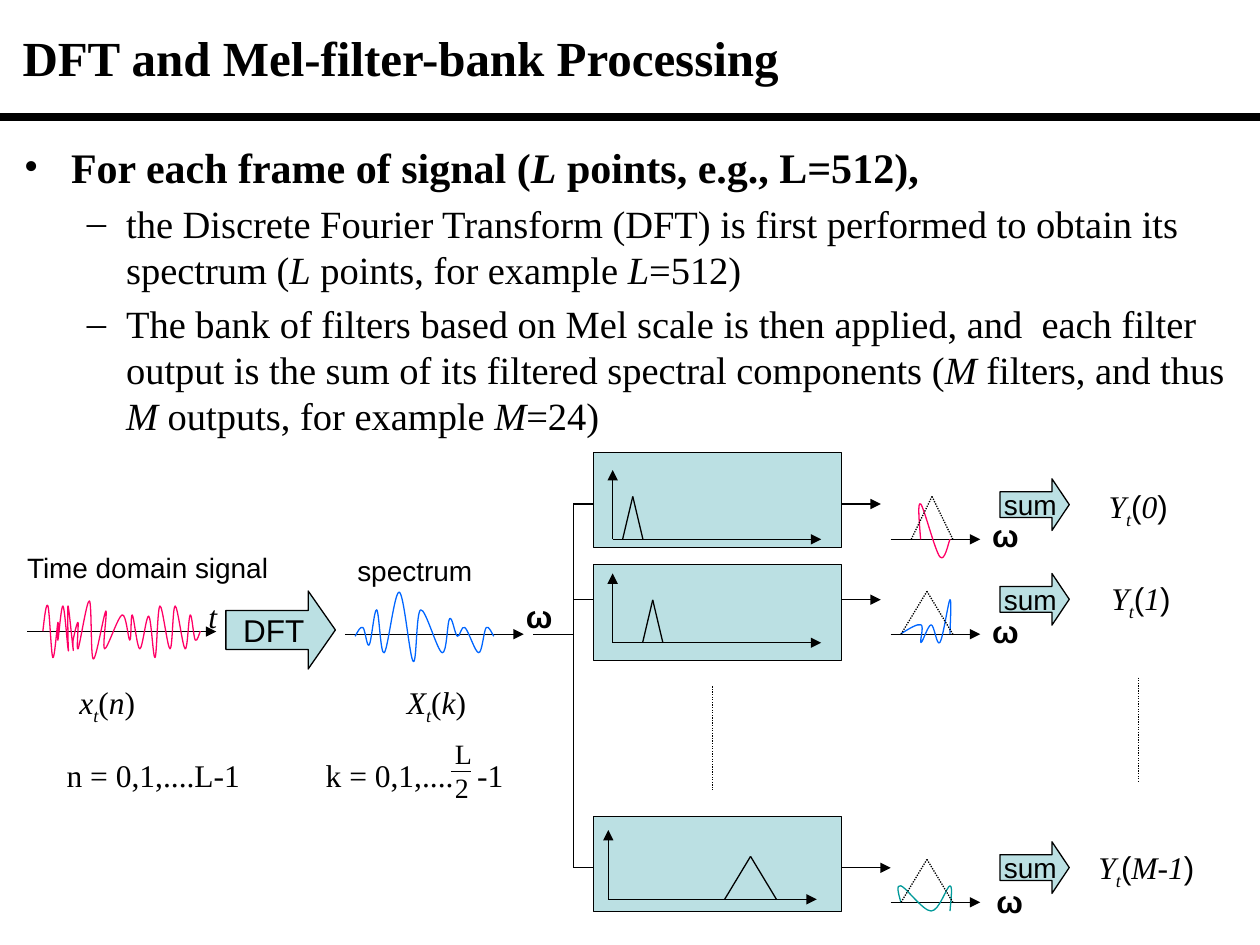
from dataclasses import dataclass
from typing import NamedTuple, Optional

import pptx
import pptx.dml.color
import pptx.enum.dml
import pptx.enum.shapes
import pptx.enum.text
import pptx.oxml.ns
import pptx.util
from lxml import etree

Pt = pptx.util.Pt
RGB = pptx.dml.color.RGBColor
Point = tuple[float, float]


@dataclass(frozen=True)
class Theme:
    ink: RGB = RGB.from_string("000000")
    panel: RGB = RGB.from_string("BBE0E3")
    red: RGB = RGB.from_string("FF0066")
    blue: RGB = RGB.from_string("0066FF")
    teal: RGB = RGB.from_string("009999")
    serif: str = "Times New Roman"
    sans: str = "Arial"
    title: float = 28
    lead: float = 24
    detail: float = 22
    label: float = 18
    small: float = 16
    hairline: float = 0.75
    rule: float = 4.5


THEME = Theme()


class Span(NamedTuple):
    text: str
    italic: bool = False
    subscript: bool = False
    font: Optional[str] = None


class Bullet(NamedTuple):
    mark: str
    level: int
    indent: float
    hanging: float
    size: float
    bold: bool
    spans: list[Span]


@dataclass(frozen=True)
class Band:
    """One mel filter: its wire, response, filtered spectrum and output."""
    wire_y: float
    wire_end: float
    panel_top: float
    origin: Point
    peak_x: float
    half_width: float
    output_y: float
    output_peak: float
    output_half: float
    curve: list[Point]
    color: RGB
    sum_top: float
    omega: Point
    result: Point
    result_width: float
    index: str


SPEECH = [(24.5, 360.7), (27.4, 346.3), (30.2, 375.8), (33.1, 355.7), (33.1, 365.8),
          (36, 346.3), (38.9, 370.8), (38.9, 365.8), (38.9, 346.3), (41.8, 370.8),
          (41.8, 365.8), (44.6, 355.7), (44.6, 370.8), (51.1, 343.4), (53.3, 376.6),
          (60.5, 349.2), (59.8, 370.8), (69.8, 351.4), (74.2, 365.8), (75.6, 351.4),
          (79.9, 370.8), (85, 352.1), (88.6, 375.8), (91.4, 346.3), (97.2, 370.8),
          (100.1, 346.3), (105.8, 370.8), (108.7, 351.4), (111.6, 365.8), (114.5, 360.7)]
SPECTRUM = [(203, 363.6), (207.4, 358.6), (211, 368.6), (215.3, 348.5), (219.6, 373),
            (228.2, 338.4), (236.2, 378), (240.5, 348.5), (252.7, 373), (257, 353.5),
            (261.4, 363.6), (265.7, 358.6), (273.6, 373), (277.9, 358.6), (282.2, 363.6)]
BANDS = [
    Band(288, 503.3, 258.5, (350.1, 308.2), 361.6, 5.8, 308.2, 532.6, 11.9,
         [(526.1, 308.2), (526.1, 288), (537.1, 318.2), (542.9, 308.2)],
         THEME.red, 273.6, (559.9, 291.6), (626.4, 275), 49, "0"),
    Band(342.7, 503.3, 322.7, (350.1, 367.3), 373, 5.8, 362.4, 529.7, 14.8,
         [(514.8, 362.2), (526.3, 357.1), (526.3, 367.2), (532.1, 357.1),
          (537.1, 367.2), (542.9, 342.7), (542.9, 362.2)],
         THEME.blue, 327.7, (559.9, 346.3), (628, 327.6), 49, "1"),
    Band(495.9, 509, 466.4, (347.6, 513.9), 428.9, 14.8, 515.6, 529.7, 14.8,
         [(514.8, 515.5), (514.8, 506.2), (532.1, 520.6), (542.9, 506.2), (542.9, 520.6)],
         THEME.teal, 481, (562.3, 500.2), (620.6, 481), 70.6, "M-1"),
]
BULLETS = [
    Bullet("•", 0, 27, 27, THEME.lead, True,
           [Span("For each frame of signal ("), Span("L", True), Span(" points, e.g., L=512),")]),
    Bullet("–", 1, 58.5, 22.5, THEME.detail, False,
           [Span("the Discrete Fourier Transform (DFT) is first performed to obtain its spectrum ("),
            Span("L", True), Span(" points, for example "), Span("L", True), Span("=512)")]),
    Bullet("–", 1, 58.5, 22.5, THEME.detail, False,
           [Span("The bank of filters based on Mel scale is then applied, and  each filter "
                 "output is the sum of its filtered spectral components ("),
            Span("M", True), Span(" filters, and thus "), Span("M", True),
            Span(" outputs, for example "), Span("M", True), Span("=24)")]),
]


def add_xml(parent, tag: str, **attributes: str):
    return etree.SubElement(parent, pptx.oxml.ns.qn(tag), attributes)


def write(paragraph, spans: list[Span], size: float, font: str, bold: bool = False) -> None:
    paragraph.font.name, paragraph.font.size = font, Pt(size)
    paragraph.font.bold, paragraph.font.color.rgb = bold, THEME.ink
    for span in spans:
        run = paragraph.add_run()
        run.text = span.text
        if span.italic:
            run.font.italic = True
        if span.font:
            run.font.name = span.font
        if span.subscript:
            run.font._element.set("baseline", "-25000")


def add_label(slide, left: float, top: float, width: float, spans: list[Span],
              size: float = THEME.label, font: str = THEME.serif, bold: bool = False,
              height: float = 28.8, wrap: bool = False, tab: float = 0):
    label = slide.shapes.add_textbox(Pt(left), Pt(top), Pt(width), Pt(height))
    label.text_frame.word_wrap = wrap
    paragraph = label.text_frame.paragraphs[0]
    if tab:
        stops = add_xml(paragraph._p.get_or_add_pPr(), "a:tabLst")
        add_xml(stops, "a:tab", pos=str(Pt(tab)), algn="l")
    if spans:
        write(paragraph, spans, size, font, bold)
    return label


def add_line(slide, start: Point, end: Point, arrow: bool = False, dotted: bool = False,
             width: float = THEME.hairline) -> None:
    line = slide.shapes.add_connector(pptx.enum.shapes.MSO_CONNECTOR.STRAIGHT,
                                      *(Pt(v) for v in (*start, *end)))
    line.line.color.rgb, line.line.width = THEME.ink, Pt(width)
    if dotted:
        line.line.dash_style = pptx.enum.dml.MSO_LINE.ROUND_DOT
    if arrow:
        add_xml(line.line._get_or_add_ln(), "a:tailEnd", type="triangle")
    add_xml(line._element.spPr, "a:effectLst")


def add_peak(slide, center: float, base: float, half: float, dotted: bool = False) -> None:
    top = (center, base - 24.5)
    add_line(slide, (center - half, base), top, dotted=dotted)
    add_line(slide, top, (center + half, base), dotted=dotted)


def add_curve(slide, knots: list[Point], color: RGB) -> None:
    """Draw a smooth Bezier curve whose tangents follow the neighbouring knots."""
    padded = [knots[0], *knots, knots[-1]]
    points = []
    for a, b, c, d in zip(padded, padded[1:], padded[2:], padded[3:]):
        leave = tuple(q + (r - p) / 6 for p, q, r in zip(a, b, c))
        arrive = tuple(q - (r - p) / 6 for p, q, r in zip(b, c, d))
        if not points:
            leave = tuple((p + q) / 2 for p, q in zip(b, arrive))
        points += [leave, arrive, c]
    builder = slide.shapes.build_freeform(*(Pt(v) for v in knots[0]))
    builder.add_line_segments([(Pt(x), Pt(y)) for x, y in points], close=False)
    curve = builder.convert_to_shape()
    # Join each three straight segments into one Bezier segment
    segments = list(curve._element.iter(pptx.oxml.ns.qn("a:lnTo")))
    for trio in zip(segments[::3], segments[1::3], segments[2::3]):
        outline = trio[0].getparent()
        bezier = add_xml(outline, "a:cubicBezTo")
        for segment in trio:
            bezier.append(segment[0])
            outline.remove(segment)
    curve.fill.background()
    curve.line.color.rgb, curve.line.width = color, Pt(THEME.hairline)
    curve.shadow.inherit = False


def add_block(slide, kind, left: float, top: float, width: float, height: float):
    block = slide.shapes.add_shape(kind, Pt(left), Pt(top), Pt(width), Pt(height))
    block.fill.solid()
    block.fill.fore_color.rgb = THEME.panel
    block.line.color.rgb, block.line.width = THEME.ink, Pt(THEME.hairline)
    block.shadow.inherit = False
    return block


def add_step(slide, text: str, left: float, top: float, width: float, height: float,
             head: float, size: float) -> None:
    step = add_block(slide, pptx.enum.shapes.MSO_SHAPE.RIGHT_ARROW, left, top, width, height)
    step.adjustments[1] = head
    step.text_frame.word_wrap = False
    step.text_frame.vertical_anchor = pptx.enum.text.MSO_ANCHOR.MIDDLE
    paragraph = step.text_frame.paragraphs[0]
    paragraph.alignment = pptx.enum.text.PP_ALIGN.CENTER
    write(paragraph, [Span(text)], size, THEME.sans)


def add_omega(slide, left: float, top: float) -> None:
    add_label(slide, left, top, 22.3, [Span("ω")], font=THEME.sans, bold=True, wrap=True)


def add_band(slide, band: Band) -> None:
    # Filter response on its wire
    add_line(slide, (327.6, band.wire_y), (band.wire_end, band.wire_y), arrow=True)
    add_block(slide, pptx.enum.shapes.MSO_SHAPE.RECTANGLE, 339, band.panel_top, 141.8, 54.6)
    x, y = band.origin
    add_line(slide, band.origin, (x, y - 39.6), arrow=True)
    add_line(slide, band.origin, (x + 119.2, y), arrow=True)
    add_peak(slide, band.peak_x, y, band.half_width)
    # Filtered spectrum and its sum
    add_line(slide, (509, band.output_y), (560.2, band.output_y), arrow=True)
    add_curve(slide, band.curve, band.color)
    add_peak(slide, band.output_peak, band.output_y, band.output_half, dotted=True)
    add_step(slide, "sum", 571.4, band.sum_top, 39.6, 29.5, 0.335, THEME.small)
    add_omega(slide, *band.omega)
    add_label(slide, *band.result, band.result_width,
              [Span("Y", True), Span("t", True, True), Span("(", font=THEME.sans),
               Span(band.index, True), Span(")", font=THEME.sans)])


def add_bullets(slide) -> None:
    frame = add_label(slide, 6.5, 77.2, 705, [], height=436, wrap=True).text_frame
    for number, bullet in enumerate(BULLETS):
        paragraph = frame.add_paragraph() if number else frame.paragraphs[0]
        paragraph.level = bullet.level
        if number:
            paragraph.space_before = Pt(4.6)
        properties = paragraph._p.get_or_add_pPr()
        properties.set("marL", str(Pt(bullet.indent)))
        properties.set("indent", str(-Pt(bullet.hanging)))
        add_xml(properties, "a:buFont", typeface=THEME.serif)
        add_xml(properties, "a:buChar", char=bullet.mark)
        write(paragraph, bullet.spans, bullet.size, THEME.serif, bullet.bold)


def main() -> None:
    deck = pptx.Presentation()
    deck.slide_width, deck.slide_height = Pt(720), Pt(540)
    slide = deck.slides.add_slide(deck.slide_layouts[6])

    # Heading and explanation
    add_line(slide, (0, 67), (720, 67), width=THEME.rule)
    title = add_label(slide, 5.8, 5.4, 708.5, [Span("DFT and Mel-filter-bank Processing")],
                      THEME.title, bold=True, height=54, wrap=True)
    title.text_frame.vertical_anchor = pptx.enum.text.MSO_ANCHOR.MIDDLE
    add_bullets(slide)

    # Time signal, DFT and spectrum
    add_line(slide, (15.6, 360.9), (123.6, 360.9), arrow=True)
    add_curve(slide, SPEECH, THEME.red)
    add_step(slide, "DFT", 129.1, 337.7, 62.6, 44.6, 0.349, THEME.label)
    add_line(slide, (197.1, 362.4), (299.3, 362.4), arrow=True)
    add_curve(slide, SPECTRUM, THEME.blue)
    add_label(slide, 112, 337.7, 22.3, [Span("t", True)], wrap=True)
    add_omega(slide, 293.4, 337.7)
    for text, left, top, width in (("Time domain signal", 8.4, 311, 153.4),
                                   ("spectrum", 197.1, 312.8, 80.6)):
        add_label(slide, left, top, width, [Span(text)], THEME.small, THEME.sans, height=26.6)
    for symbol, argument, left, width in (("x", "n", 38.2, 46.8), ("X", "k", 225.4, 50.4)):
        add_label(slide, left, 387, width,
                  [Span(symbol, True), Span("t", True, True), Span("("),
                   Span(argument, True), Span(")")])

    # Index ranges, the second with a fraction
    add_label(slide, 31, 428.4, 124.6, [Span("n = 0,1,....L-1")], wrap=True)
    add_label(slide, 179, 428.4, 118.8, [Span("k = 0,1,....\t-1")], wrap=True, tab=86.5)
    for text, top in (("L", 417.6), ("2", 436.6)):
        add_label(slide, 252.9, top, 28, [Span(text)], THEME.small, height=26.6, wrap=True)
    add_line(slide, (257.8, 440.8), (269.3, 440.8))

    # Filter bank
    add_line(slide, (304.8, 362.4), (327.6, 362.4))
    add_line(slide, (327.6, BANDS[0].wire_y), (327.6, BANDS[-1].wire_y))
    for band in BANDS:
        add_band(slide, band)
    for x, top in ((407, 392.2), (650.7, 387.2)):
        add_line(slide, (x, top), (x, top + 59), dotted=True)

    deck.save("out.pptx")


if __name__ == "__main__":
    main()
